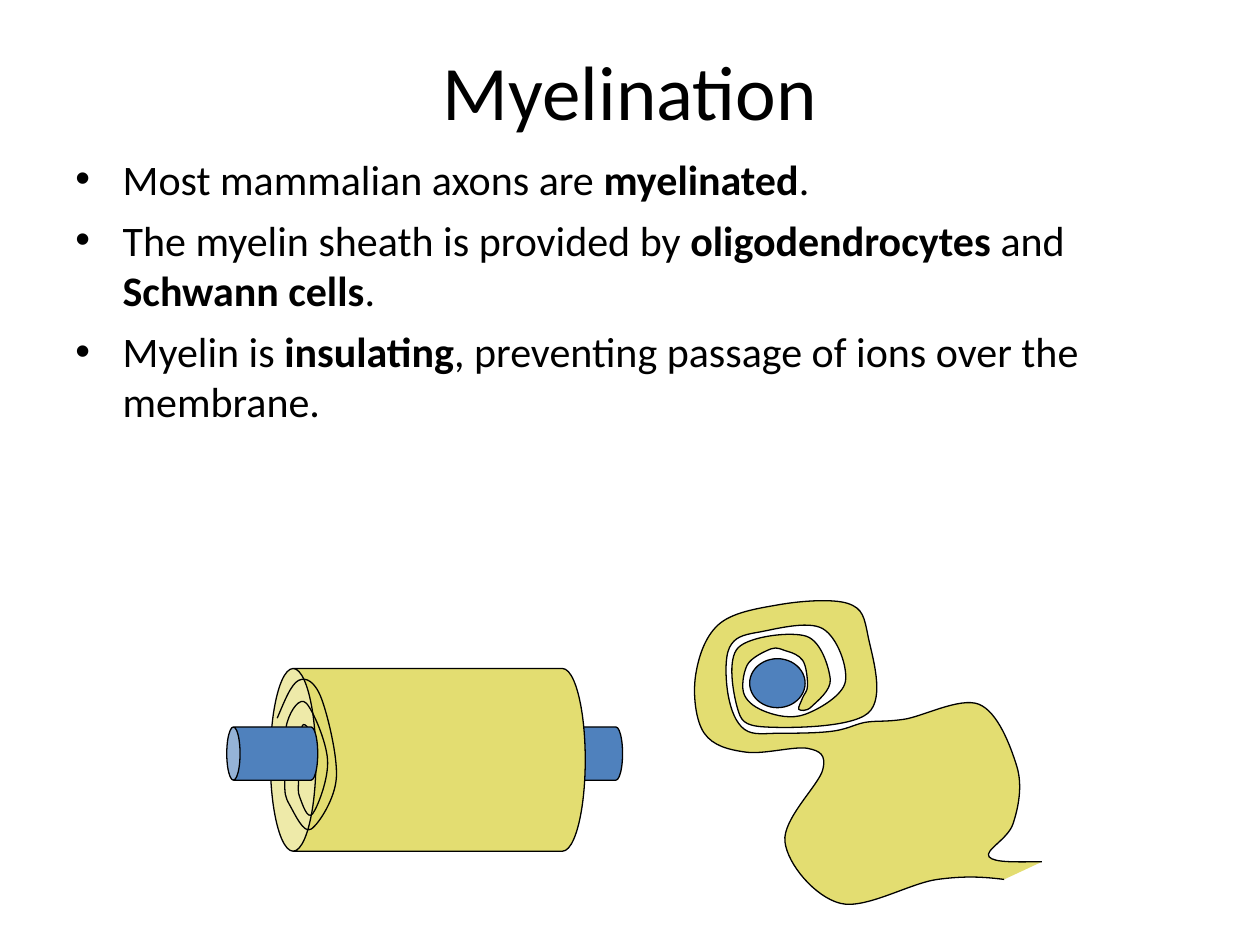
from lxml.etree import SubElement
from pptx import Presentation
from pptx.dml.color import RGBColor
from pptx.enum.shapes import MSO_SHAPE
from pptx.enum.text import MSO_ANCHOR, PP_ALIGN
from pptx.oxml.ns import qn
from pptx.util import Pt

COLORS = {"text": "000000", "line": "000000", "axon": "4F81BD", "myelin": "E3DD71"}
FONT = "Calibri"
CURVE_UNIT = Pt(0.72)

BULLETS = [
    "Most mammalian axons are *myelinated*.",
    "The myelin sheath is provided by *oligodendrocytes* and *Schwann cells*.",
    "Myelin is *insulating*, preventing passage of ions over the membrane.",
]
SPIRAL = [
    (220, 570), (237, 540), (255, 554), (267, 617), (247, 658), (230, 639),
    (226, 619), (228, 573), (243, 558), (260, 603), (248, 646), (238, 633),
    (237, 617), (240, 576), (252, 591),
]
WRAPPING_CELL = [
    (797, 698), (744, 698), (667, 717), (623, 668), (653, 611), (641, 594),
    (592, 597), (559, 582), (552, 537), (570, 496), (618, 480), (673, 479),
    (689, 505), (689, 566), (607, 577), (585, 561), (586, 514), (640, 505),
    (659, 539), (644, 561), (634, 563), (637, 554), (641, 544), (637, 524),
    (625, 517), (612, 515), (593, 528), (591, 552), (608, 565), (639, 567),
    (671, 541), (653, 499), (601, 502), (579, 514), (578, 552), (591, 579),
    (619, 582), (663, 580), (689, 573), (717, 571), (777, 559), (807, 608),
    (804, 654), (785, 680), (827, 684),
]


def midpoint(a, b):
    return (a[0] + b[0]) / 2, (a[1] + b[1]) / 2


def smooth_points(anchors):
    """Return the Bezier points that follow the start of a smooth curve through the anchors."""
    steps = [((c[0] - a[0]) / 6, (c[1] - a[1]) / 6) for a, c in zip(anchors, anchors[2:])]
    before = [(x - dx, y - dy) for (x, y), (dx, dy) in zip(anchors[1:], steps)]
    after = [(x + dx, y + dy) for (x, y), (dx, dy) in zip(anchors[1:], steps)]
    outgoing = [midpoint(anchors[0], before[0])] + after
    incoming = before + [midpoint(after[-1], anchors[-1])]
    return [pt for trio in zip(outgoing, incoming, anchors[1:]) for pt in trio]


class SlideBuilder:
    """Holds the style and the current slide."""

    def __init__(self, slide):
        self.slide = slide

    def color(self, name):
        return RGBColor.from_string(COLORS[name])

    def font(self, r, size, bold=False):
        r.font.name = FONT
        r.font.size = Pt(size)
        r.font.bold = bold
        r.font.color.rgb = self.color("text")

    def place(self, sp, left, top, width, height):
        sp.left, sp.top, sp.width, sp.height = map(Pt, (left, top, width, height))

    def paint(self, sp, fill=None):
        sp.shadow.inherit = False
        if fill:
            sp.fill.solid()
            sp.fill.fore_color.rgb = self.color(fill)
        else:
            sp.fill.background()
        sp.line.color.rgb = self.color("line")
        sp.line.width = Pt(0.75)

    def title(self, text, *box):
        sp = self.slide.shapes.title
        self.place(sp, *box)
        tf = sp.text_frame
        tf.text = text
        tf.vertical_anchor = MSO_ANCHOR.MIDDLE
        p = tf.paragraphs[0]
        p.alignment = PP_ALIGN.CENTER
        self.font(p.runs[0], 44)

    def bullets(self, items, *box):
        tf = self.slide.shapes.add_textbox(*map(Pt, box)).text_frame
        tf.word_wrap = True
        for i, item in enumerate(items):
            p = tf.add_paragraph() if i else tf.paragraphs[0]
            p.space_before = Pt(6)
            pPr = p._p.get_or_add_pPr()
            pPr.set("marL", str(Pt(27)))
            pPr.set("indent", str(-Pt(27)))
            SubElement(pPr, qn("a:buFont")).set("typeface", "Arial")
            SubElement(pPr, qn("a:buChar")).set("char", "•")
            for j, part in enumerate(item.split("*")):
                r = p.add_run()
                r.text = part
                self.font(r, 24, bold=j % 2 == 1)

    def shape(self, kind, fill, *box, rotation=0):
        sp = self.slide.shapes.add_shape(kind, *map(Pt, box))
        sp.rotation = rotation
        self.paint(sp, fill)
        return sp

    def cylinder(self, fill, *box):
        sp = self.shape(MSO_SHAPE.CAN, fill, *box, rotation=270)
        sp.adjustments[0] = 0.25

    def curve(self, anchors, fill=None):
        fb = self.slide.shapes.build_freeform(*anchors[0], scale=CURVE_UNIT)
        fb.add_line_segments(smooth_points(anchors), close=False)
        sp = fb.convert_to_shape()
        self.paint(sp, fill)
        segments = list(sp._element.iter(qn("a:lnTo")))
        for i in range(0, len(segments), 3):
            bezier = SubElement(segments[i].getparent(), qn("a:cubicBezTo"))
            for segment in segments[i:i + 3]:
                bezier.append(segment[0])
                segment.getparent().remove(segment)


def main():
    prs = Presentation()
    prs.slide_width, prs.slide_height = Pt(720), Pt(540)
    s = SlideBuilder(prs.slides.add_slide(prs.slide_layouts[5]))
    s.title("Myelination", 36, 6, 648, 90)
    s.bullets(BULLETS, 36, 84, 648, 205)
    s.cylinder("axon", 314.6, 404.6, 30.4, 52)
    s.cylinder("myelin", 192.3, 344.2, 104.4, 180)
    s.curve(SPIRAL)
    s.cylinder("axon", 140.4, 404.6, 30.4, 52)
    s.shape(MSO_SHAPE.OVAL, "axon", 428.4, 376.4, 31.7, 28)
    s.curve(WRAPPING_CELL, "myelin")
    prs.save("out.pptx")


if __name__ == "__main__":
    main()
